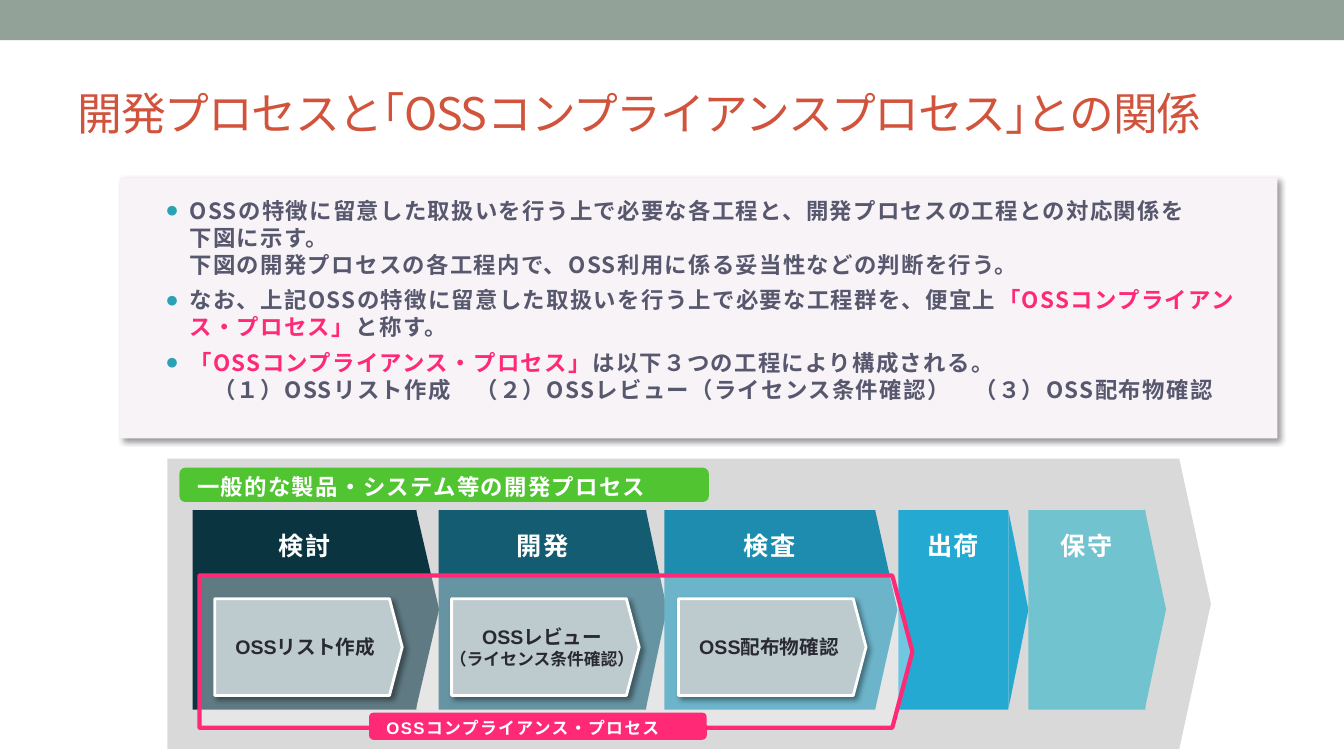
from dataclasses import dataclass

from lxml.etree import SubElement
from pptx import Presentation
from pptx.dml.color import RGBColor
from pptx.enum.shapes import MSO_SHAPE
from pptx.enum.text import MSO_ANCHOR, MSO_AUTO_SIZE, PP_ALIGN
from pptx.oxml.ns import qn
from pptx.util import Pt

PX = 9144  # EMU per px, 100 px to the inch


@dataclass(frozen=True)
class Theme:
    sans: str = "Arial"
    cjk: str = "Noto Sans CJK JP"
    bar: str = "93A299"
    title: str = "D2533C"
    panel: str = "F7F3F7"
    body: str = "57576E"
    bullet: str = "29A2B5"
    pink: str = "FF2975"
    green: str = "51C531"
    gray: str = "D9D9D9"
    step: str = "BDCBCE"
    ink: str = "292934"
    white: str = "FFFFFF"
    black: str = "000000"
    head: int = 32
    stage: int = 18
    text: int = 16
    label: int = 14
    small: int = 12


T = Theme()


def place(shape, box):
    shape.left, shape.top, shape.width, shape.height = (v * PX for v in box)


def block(shapes, kind, box, fill, line=None, width=0):
    shape = shapes.add_shape(kind, *(v * PX for v in box))
    shape.shadow.inherit = False
    shape.fill.solid()
    shape.fill.fore_color.rgb = RGBColor.from_string(fill)
    if line:
        shape.line.color.rgb = RGBColor.from_string(line)
        shape.line.width = Pt(width)
    else:
        shape.line.fill.background()
    return shape


def alpha(color, share):
    SubElement(color, qn("a:alpha")).set("val", str(share * 1000))


def shade(shape):
    effects = shape._element.spPr.find(qn("a:effectLst"))
    outer = SubElement(effects, qn("a:outerShdw"), blurRad=str(Pt(4)),
                       dist=str(Pt(3)), dir=str(45 * 60000), algn="tl", rotWithShape="0")
    alpha(SubElement(outer, qn("a:srgbClr"), val=T.black), 40)


def style(run, size, color, face=T.sans, bold=True, space=0):
    font = run.font
    font.size, font.bold, font.name = Pt(size), bold, face
    font.color.rgb = RGBColor.from_string(color)
    props = run._r.get_or_add_rPr()
    SubElement(props, qn("a:ea")).set("typeface", T.cjk)
    if space:
        props.set("spc", str(space * 100))


def frame(shape, insets=None, anchor=MSO_ANCHOR.TOP, wrap=True):
    tf = shape.text_frame
    tf.auto_size, tf.word_wrap, tf.vertical_anchor = MSO_AUTO_SIZE.NONE, wrap, anchor
    if insets:
        tf.margin_left, tf.margin_top, tf.margin_right, tf.margin_bottom = (
            v * PX for v in insets)
    return tf


def write(tf, text, sizes, color, align=PP_ALIGN.CENTER, **look):
    tf.text = text
    for para, size in zip(tf.paragraphs, sizes):
        para.alignment = align
        for run in para.runs:
            style(run, size, color, **look)


def header(slide, box):
    # Top bar and title
    x, y, w, h = box
    block(slide.shapes, MSO_SHAPE.RECTANGLE, (x, y, w, 40), T.bar)
    title = slide.shapes.title
    place(title, (x + 67, y + 58, 1200, h - 58))
    write(frame(title, anchor=MSO_ANCHOR.MIDDLE),
          "開発プロセスと｢OSSコンプライアンスプロセス｣との関係",
          [T.head], T.title, PP_ALIGN.LEFT, face=T.cjk, bold=False, space=-1)


def bullet(para):
    para.space_before, para.line_spacing = Pt(6), Pt(19.3)
    props = para._p.get_or_add_pPr()
    props.set("marL", str(24 * PX))
    props.set("indent", str(-24 * PX))
    color = SubElement(props, qn("a:buClr"))
    SubElement(color, qn("a:srgbClr"), val=T.bullet)
    SubElement(props, qn("a:buFont"), typeface=T.sans)
    SubElement(props, qn("a:buChar"), char="●")


def summary(slide, box):
    # Panel with the list above it
    x, y, w, h = box
    shade(block(slide.shapes, MSO_SHAPE.RECTANGLE, box, T.panel))
    body = slide.placeholders[1]
    slide.shapes._spTree.append(body._element)
    place(body, (x + 37, y + 19, w - 38, h - 29))
    tf = frame(body, (8, 0, 16, 0))
    term = ("「OSSコンプライアンス・プロセス」", T.pink)
    points = [
        [("OSSの特徴に留意した取扱いを行う上で必要な各工程と、開発プロセスの工程との対応関係を\n"
          "下図に示す。\n"
          "下図の開発プロセスの各工程内で、OSS利用に係る妥当性などの判断を行う。", T.body)],
        [("なお、上記OSSの特徴に留意した取扱いを行う上で必要な工程群を、便宜上", T.body),
         term, ("と称す。", T.body)],
        [term, ("は以下３つの工程により構成される。\n"
                "　（１）OSSリスト作成　（２）OSSレビュー（ライセンス条件確認）"
                "　（３）OSS配布物確認", T.body)],
    ]
    for i, parts in enumerate(points):
        para = tf.add_paragraph() if i else tf.paragraphs[0]
        bullet(para)
        for text, color in parts:
            for j, line in enumerate(text.split("\n")):
                if j:
                    para.add_line_break()
                run = para.add_run()
                run.text = line
                style(run, T.text, color, T.cjk, space=1)


def stage(slide, box, tip, name, color):
    # Rectangle with a slim triangle pointing right
    x, y, w, h = box
    group = slide.shapes.add_group_shape().shapes
    rect = block(group, MSO_SHAPE.RECTANGLE, box, color)
    write(frame(rect, (0, 20, 0, 0)), name, [T.stage], T.white, space=1)
    left = x + w + (tip - h) // 2
    top = y + (h - tip) // 2
    block(group, MSO_SHAPE.ISOSCELES_TRIANGLE, (left, top, h, tip), color).rotation = 90


def label(slide, box, text, size, color, anchor):
    tag = block(slide.shapes, MSO_SHAPE.ROUNDED_RECTANGLE, box, color)
    write(frame(tag, (16, 4, 16, 0), anchor), text, [size], T.white,
          PP_ALIGN.LEFT, space=1)


def plate(slide, box, bend, *look):
    shape = block(slide.shapes, MSO_SHAPE.PENTAGON, box, *look)
    shape.adjustments[0] = bend
    return shape


def flow(slide, box):
    x, y, w, h = box
    plate(slide, box, 0.109, T.gray)

    # Development stages: offset, width, tip
    for dx, wide, tip, name, color in [
        (25, 222, 23, "検討", "0B3441"),
        (269, 206, 21, "開発", "145C72"),
        (493, 209, 22, "検査", "1E8CAE"),
        (725, 109, 20, "出荷", "24A9D2"),
        (854, 116, 21, "保守", "72C3D0"),
    ]:
        stage(slide, (x + dx, y + 51, wide, 198), tip, name, color)
    label(slide, (x + 12, y + 9, 525, 34), "一般的な製品・システム等の開発プロセス",
          T.text, T.green, MSO_ANCHOR.TOP)

    # Compliance process
    zone = plate(slide, (x + 32, y + 116, 707, 151), 0.132, T.white, T.pink, 3)
    alpha(zone._element.spPr.find(qn("a:solidFill"))[0], 35)
    for dx, text in [
        (47, "OSSリスト作成"),
        (282, "OSSレビュー\n（ライセンス条件確認）"),
        (507, "OSS配布物確認"),
    ]:
        step = plate(slide, (x + dx, y + 139, 186, 96), 0.132, T.step, T.white, 2)
        shade(step)
        write(frame(step, anchor=MSO_ANCHOR.MIDDLE, wrap=False), text,
              [T.label, T.small], T.ink)
    label(slide, (x + 200, y + 252, 335, 27), "OSSコンプライアンス・プロセス",
          T.small, T.pink, MSO_ANCHOR.MIDDLE)


def main():
    deck = Presentation()
    deck.slide_width, deck.slide_height = 1333 * PX, 750 * PX
    slide = deck.slides.add_slide(deck.slide_layouts[1])
    header(slide, (0, 0, 1333, 166))
    flow(slide, (166, 455, 1035, 288))
    summary(slide, (119, 176, 1148, 259))
    deck.save("out.pptx")


if __name__ == "__main__":
    main()
